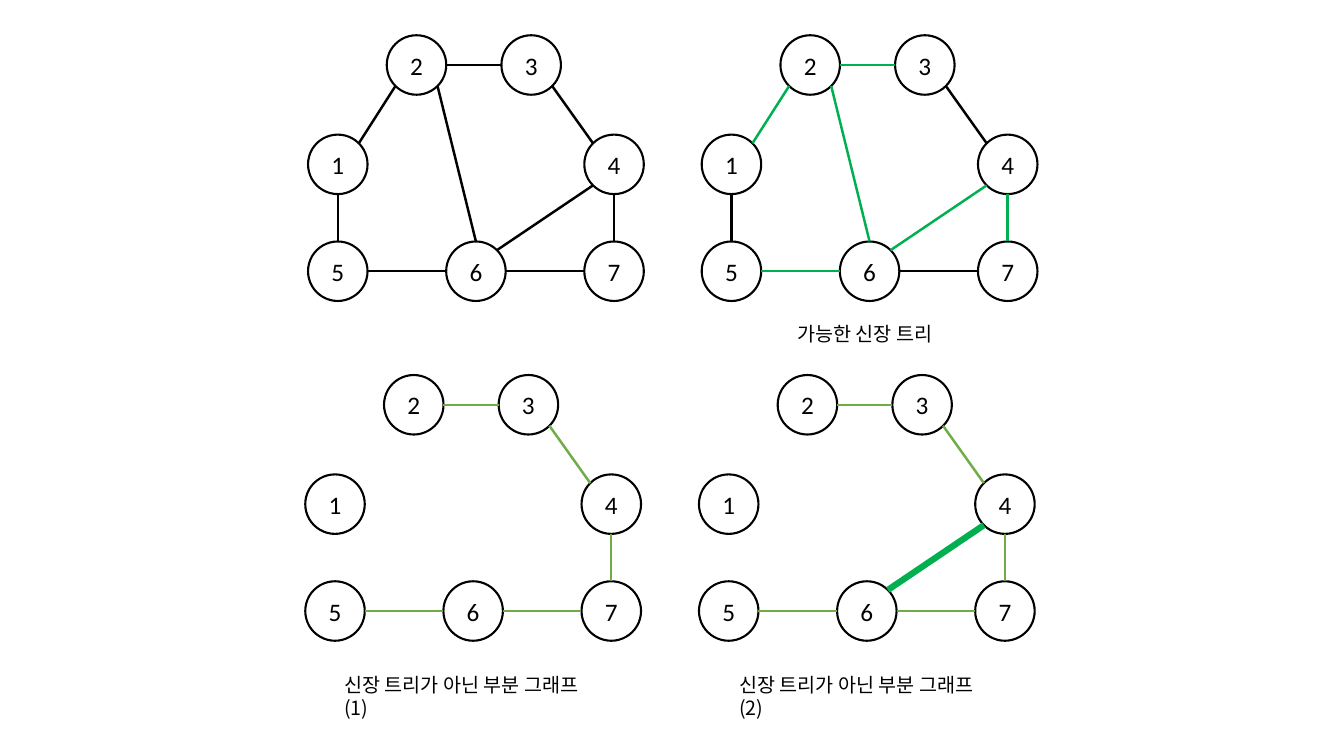
from math import hypot
from lxml.etree import SubElement as Sub
from pptx import Presentation
from pptx.dml.color import RGBColor as Rgb
from pptx.enum.shapes import MSO_CONNECTOR as Link, MSO_SHAPE as Form
from pptx.enum.text import MSO_ANCHOR as Anchor, MSO_AUTO_SIZE as Fit, PP_ALIGN as Align
from pptx.oxml.ns import qn
from pptx.util import Inches, Pt

COL, ROW, SIZE = 1.37, 1.06, 0.59
BLACK, GRASS, JADE = "000000", "70AD47", "00B050"
LATIN, HANGUL = "Calibri", "Noto Sans CJK KR"

NODES = {
    1: (0, 0.93), 2: (0.57, 0), 3: (1.4, 0), 4: (2, 0.93),
    5: (0, 1.93), 6: (1, 1.93), 7: (2, 1.93),
}

LEFT, RIGHT, UP, DOWN = (-1, 0), (1, 0), (0, -1), (0, 1)
EDGES = {
    (1, 2): ((1, -1), (-1, 1)),
    (1, 5): (DOWN, UP),
    (2, 3): (RIGHT, LEFT),
    (2, 6): ((1, 1), UP),
    (3, 4): ((1, 1), (-1, -1)),
    (4, 6): ((-1, 1), (1, -1)),
    (4, 7): (DOWN, UP),
    (5, 6): (RIGHT, LEFT),
    (6, 7): (RIGHT, LEFT),
}

FULL = dict.fromkeys(EDGES, (BLACK, 1.75))
TREE = FULL | dict.fromkeys([(1, 2), (2, 3), (2, 6), (4, 6), (4, 7), (5, 6)], (JADE, 1.75))
PART = dict.fromkeys([(2, 3), (3, 4), (4, 7), (5, 6), (6, 7)], (GRASS, 1.75))
LOOP = PART | {(4, 6): (JADE, 4.5)}

GRAPHS = [
    (2.23, 0.33, FULL),
    (5.08, 0.33, TREE),
    (2.21, 3.51, PART),
    (5.06, 3.51, LOOP),
]
LABELS = [
    (5.7, 2.97, 1.15, "가능한 신장 트리"),
    (2.42, 6.25, 1.99, "신장 트리가 아닌 부분 그래프(1)"),
    (5.28, 6.25, 1.99, "신장 트리가 아닌 부분 그래프(2)"),
]


def paint(form, color):
    form.solid()
    form.fore_color.rgb = Rgb.from_string(color)


def write(frame, text, face, size, align):
    par = frame.paragraphs[0]
    par.text = text
    par.alignment = align
    par.font.name = face
    par.font.size = Pt(size)
    paint(par.font.fill, BLACK)
    Sub(par._p.pPr.find(qn("a:defRPr")), qn("a:ea"), typeface=face)


def stroke(line, color, width):
    paint(line.fill, color)
    line.width = Pt(width)


def add_node(slide, x, y, text):
    node = slide.shapes.add_shape(
        Form.OVAL, Inches(x), Inches(y), Inches(SIZE), Inches(SIZE))
    node.shadow.inherit = False
    node.fill.background()
    stroke(node.line, BLACK, 1.5)
    node.text_frame.vertical_anchor = Anchor.MIDDLE
    write(node.text_frame, text, LATIN, 18, Align.CENTER)


def rim(spot, side):
    scale = SIZE / 2 / hypot(*side)
    return [Inches(at + SIZE / 2 + way * scale) for at, way in zip(spot, side)]


def add_edge(slide, start, end, color, width):
    edge = slide.shapes.add_connector(Link.STRAIGHT, *start, *end)
    stroke(edge.line, color, width)
    Sub(edge._element.spPr, qn("a:effectLst"))


def add_graph(slide, col, row, edges):
    spots = {key: ((col + x) * COL, (row + y) * ROW) for key, (x, y) in NODES.items()}
    for key, spot in spots.items():
        add_node(slide, *spot, str(key))
    for (head, tail), style in edges.items():
        out, into = EDGES[head, tail]
        add_edge(slide, rim(spots[head], out), rim(spots[tail], into), *style)


def add_label(slide, col, row, span, text):
    box = slide.shapes.add_textbox(
        Inches(col * COL), Inches(row * ROW), Inches(span * COL), Inches(0.32 * ROW))
    frame = box.text_frame
    frame.word_wrap = True
    frame.auto_size = Fit.SHAPE_TO_FIT_TEXT
    write(frame, text, HANGUL, 14, Align.LEFT)


def main():
    deck = Presentation()
    deck.slide_width, deck.slide_height = Inches(13.33), Inches(7.5)
    slide = deck.slides.add_slide(deck.slide_layouts[6])
    for graph in GRAPHS:
        add_graph(slide, *graph)
    for label in LABELS:
        add_label(slide, *label)
    deck.save("out.pptx")


if __name__ == "__main__":
    main()
